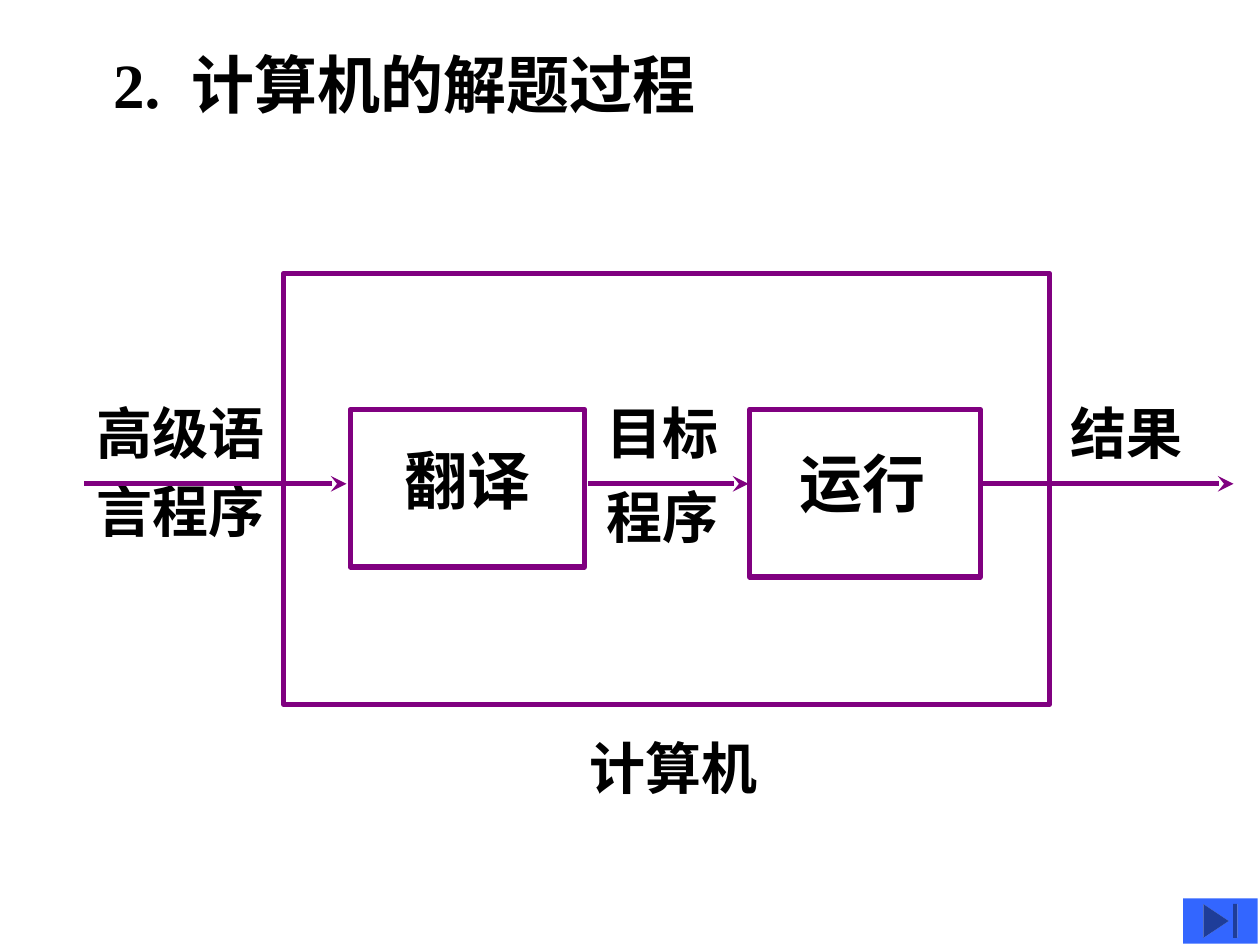
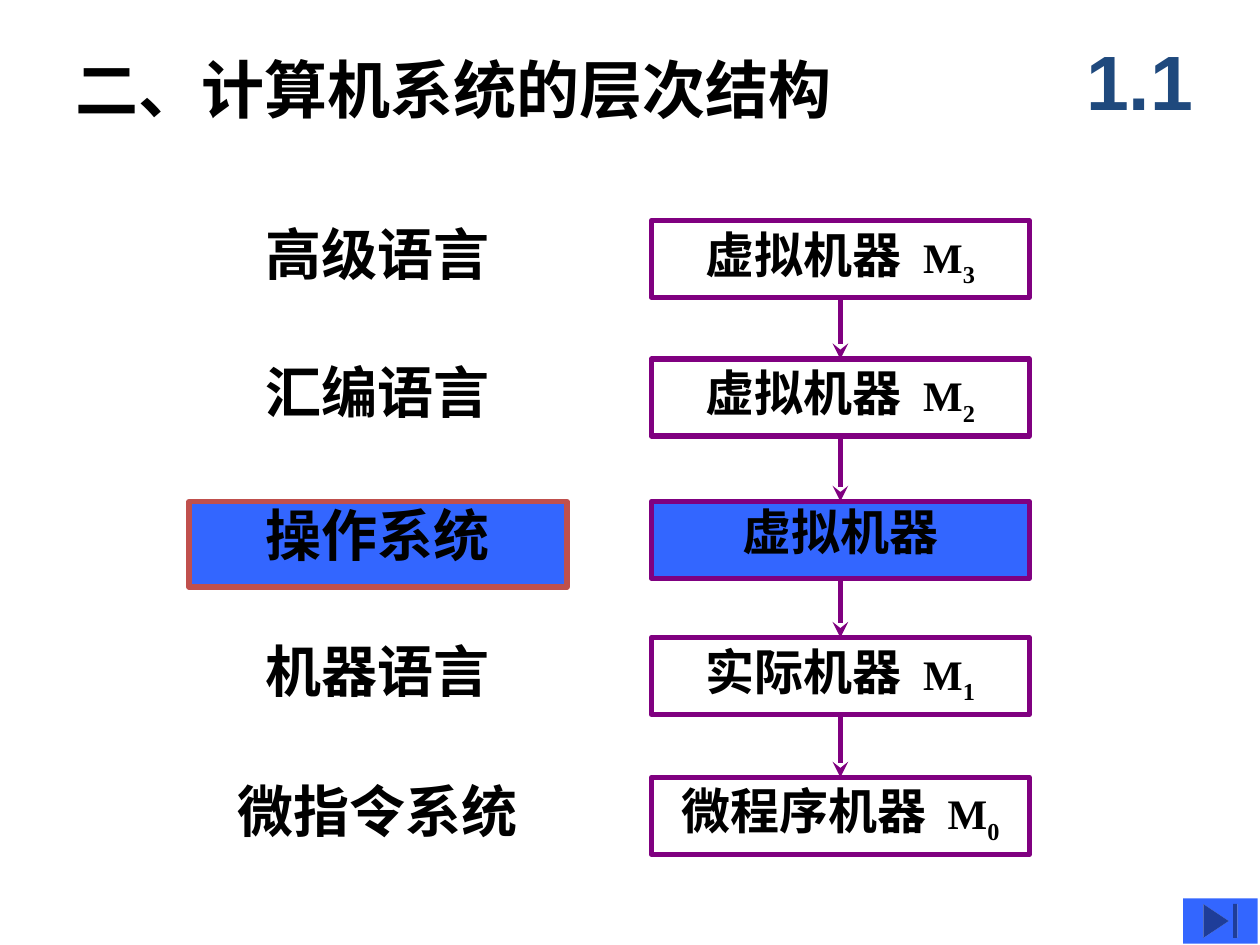
from dataclasses import dataclass
from itertools import pairwise
from typing import NamedTuple

from lxml.etree import SubElement
from pptx import Presentation
from pptx.dml.color import RGBColor
from pptx.enum.shapes import MSO_CONNECTOR, MSO_SHAPE
from pptx.enum.text import MSO_ANCHOR, MSO_AUTO_SIZE, PP_ALIGN
from pptx.oxml.ns import qn
from pptx.util import Inches, Pt


@dataclass(frozen=True)
class Theme:
    ink: str = "000000"
    edge: str = "800080"
    blue: str = "3366FF"
    red: str = "C0504D"
    navy: str = "1F497D"
    han: str = "Noto Sans CJK SC"
    serif: str = "Times New Roman"
    sans: str = "Arial"
    title: int = 36
    label: int = 32
    level: int = 28
    sign: int = 24
    mark: int = 44
    line: int = 3


THEME = Theme()


class Rect(NamedTuple):
    left: float
    top: float
    width: float
    height: float

    def lengths(self) -> list:
        return [Inches(n) for n in self]


class Part(NamedTuple):
    """A stretch of text with its own format."""
    text: str
    size: int
    font: str = THEME.han
    sub: bool = False
    gap: float = 0


class Label(NamedTuple):
    text: str
    rect: Rect
    size: int = THEME.label
    inset: bool = True


class Arrow(NamedTuple):
    left: float
    right: float
    top: float = 3.84


class Level(NamedTuple):
    name: str
    kind: str
    sign: str
    top: float


# Shared drawing
def paint(color: str) -> RGBColor:
    return RGBColor.from_string(color)


def write(shape, text, *, size=THEME.label, font=THEME.han, color=THEME.ink,
          center=False, middle=False, inset=True, wrap=True, lead=0.9, before=0.2):
    """Write a string, or a list of parts, as one bold paragraph."""
    frame = shape.text_frame
    frame.word_wrap = wrap
    frame.auto_size = MSO_AUTO_SIZE.NONE
    frame.vertical_anchor = MSO_ANCHOR.MIDDLE if middle else MSO_ANCHOR.TOP
    if not inset:
        frame.margin_left = frame.margin_right = 0
        frame.margin_top = frame.margin_bottom = 0
    para = frame.paragraphs[0]
    para.alignment = PP_ALIGN.CENTER if center else PP_ALIGN.LEFT
    para.line_spacing = lead
    para.space_before = Pt(size * before)
    parts = [Part(text, size, font)] if isinstance(text, str) else text
    for part in parts:
        run = para.add_run()
        run.text = part.text
        run.font.size = Pt(part.size)
        run.font.bold = True
        run.font.name = part.font
        run.font.color.rgb = paint(color)
        props = run.font._element
        SubElement(props, qn("a:ea")).set("typeface", THEME.han)
        if part.sub:
            props.set("baseline", "-25000")
        if part.gap:
            props.set("spc", str(round(part.gap * 100)))


def add_text(slide, rect: Rect, text, **form):
    box = slide.shapes.add_textbox(*rect.lengths())
    write(box, text, **form)
    return box


def add_box(slide, rect: Rect, kind=MSO_SHAPE.RECTANGLE, fill=None, edge=THEME.edge):
    box = slide.shapes.add_shape(kind, *rect.lengths())
    box.shadow.inherit = False
    if fill:
        box.fill.solid()
        box.fill.fore_color.rgb = paint(fill)
    else:
        box.fill.background()
    if edge:
        box.line.color.rgb = paint(edge)
        box.line.width = Pt(THEME.line)
    else:
        box.line.fill.background()
    return box


def add_arrow(slide, left=0.0, top=0.0, right=0.0, low=0.0):
    ends = [Inches(n) for n in (left, top, right, low)]
    line = slide.shapes.add_connector(MSO_CONNECTOR.STRAIGHT, *ends)
    line.line.color.rgb = paint(THEME.edge)
    line.line.width = Pt(THEME.line)
    SubElement(line.line._get_or_add_ln(), qn("a:tailEnd")).set("type", "stealth")
    SubElement(line._element.spPr, qn("a:effectLst"))
    return line


def add_slide(deck, title, rect: Rect):
    """Start a slide with its title and the button in the corner."""
    slide = deck.slides.add_slide(deck.slide_layouts[6])
    add_text(slide, rect, title, size=THEME.title, font=THEME.serif)
    add_box(slide, Rect(9.39, 7.13, 0.59, 0.36), MSO_SHAPE.ACTION_BUTTON_END,
            fill=THEME.blue, edge=None)
    return slide


# Slide 1: from program to result
FRAMES = (
    Rect(2.25, 2.17, 6.08, 3.42),
    Rect(2.78, 3.25, 1.86, 1.25),
    Rect(5.95, 3.25, 1.83, 1.33),
)
LABELS = (
    Label("计算机", Rect(4.58, 5.83, 1.54, 0.63)),
    Label("高级语", Rect(0.77, 3.22, 1.34, 0.53), inset=False),
    Label("言程序", Rect(0.67, 3.79, 1.54, 0.63)),
    Label("目标", Rect(4.81, 3.22, 0.89, 0.53), inset=False),
    Label("程序", Rect(4.81, 3.89, 0.89, 0.53), inset=False),
    Label("结果", Rect(8.5, 3.22, 1, 0.53), inset=False),
    Label("翻译", Rect(3.11, 3.52, 1.2, 0.7), THEME.title),
    Label("运行", Rect(6.25, 3.55, 1.2, 0.7), THEME.title),
)
ARROWS = (Arrow(0.67, 2.75), Arrow(4.67, 5.94), Arrow(7.78, 9.79))


def draw_process(deck):
    title = [Part("2.", THEME.title, THEME.serif),
             Part(" ", THEME.title, THEME.serif, gap=9),
             Part("计算机的解题过程", THEME.title, THEME.serif)]
    slide = add_slide(deck, title, Rect(0.8, 0.38, 6.37, 0.7))
    for rect in FRAMES:
        add_box(slide, rect)
    for item in LABELS:
        add_text(slide, item.rect, item.text, size=item.size,
                 inset=item.inset, wrap=False)
    for item in ARROWS:
        add_arrow(slide, item.left, item.top, item.right, item.top)


# Slide 2: levels of a computer system
LEVELS = (
    Level("高级语言", "虚拟机器", "3", 1.75),
    Level("汇编语言", "虚拟机器", "2", 2.85),
    Level("操作系统", "虚拟机器", "", 3.98),
    Level("机器语言", "实际机器", "1", 5.06),
    Level("微指令系统", "微程序机器", "0", 6.17),
)


def draw_level(slide, level: Level):
    """Draw the name and the machine of a level; return the machine."""
    side = Rect(1.5, level.top, 3, 0.68)
    form = {"center": True, "before": 0.5}
    parts = [Part(level.kind, THEME.level)]
    if level.sign:
        add_text(slide, side, level.name, **form)
        parts += [Part(" ", THEME.level, gap=6),
                  Part("M", THEME.sign, THEME.serif),
                  Part(level.sign, THEME.sign, THEME.serif, sub=True)]
    else:
        write(add_box(slide, side, fill=THEME.blue, edge=THEME.red),
              level.name, **form)
    box = add_box(slide, Rect(5.17, level.top, 3, 0.61),
                  fill=None if level.sign else THEME.blue)
    write(box, parts, size=THEME.level, **form)
    return box


def draw_levels(deck):
    slide = add_slide(deck, "二、计算机系统的层次结构", Rect(0.5, 0.42, 8.5, 1))
    add_text(slide, Rect(8.42, 0.17, 1.25, 0.92), "1.1", size=THEME.mark,
             font=THEME.sans, color=THEME.navy, center=True, middle=True,
             lead=1.0, before=0)
    boxes = [draw_level(slide, level) for level in LEVELS]
    for upper, lower in pairwise(boxes):
        arrow = add_arrow(slide)
        arrow.begin_connect(upper, 2)
        arrow.end_connect(lower, 0)


def main():
    deck = Presentation()
    deck.slide_width, deck.slide_height = Inches(10), Inches(7.5)
    draw_process(deck)
    draw_levels(deck)
    deck.save("out.pptx")


if __name__ == "__main__":
    main()
